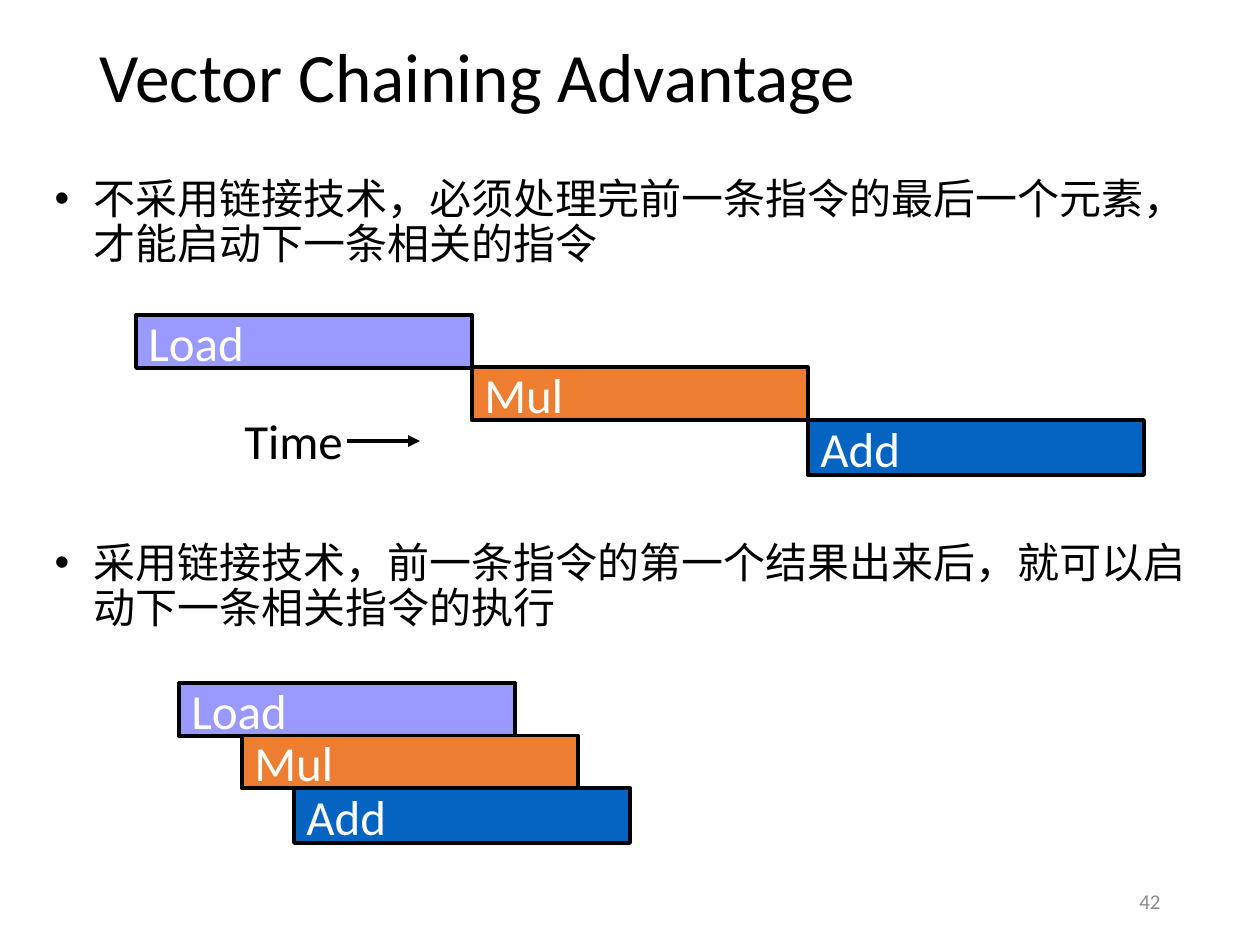
from dataclasses import dataclass

from lxml.etree import SubElement
from pptx import Presentation
from pptx.dml.color import RGBColor as RGB
from pptx.enum.shapes import MSO_CONNECTOR as CONNECTOR, MSO_SHAPE as SHAPE
from pptx.enum.text import MSO_ANCHOR as ANCHOR, MSO_AUTO_SIZE as AUTO_SIZE, PP_ALIGN as ALIGN
from pptx.oxml.ns import qn
from pptx.util import Emu, Pt


@dataclass(frozen=True)
class Theme:
    text: str = "000000"
    inverse: str = "FFFFFF"
    muted: str = "8C8C8C"
    load: str = "9999FF"
    multiply: str = "ED7D31"
    add: str = "0563C1"
    latin: str = "Calibri"
    body: str = "Arial"
    title_size: float = 39.6
    label_size: int = 28
    body_size: int = 24
    number_size: int = 12
    line_width: float = 2.25


THEME = Theme()
EMU_PER_PX = 914400 / 126
BAR_WIDTH = 336
ROW_STEP = 52.5
BARS = (("Load", THEME.load, 53), ("Mul", THEME.multiply, 53), ("Add", THEME.add, 55))


def px(value):
    return Emu(round(value * EMU_PER_PX))


def set_attributes(target, values):
    for name, value in values.items():
        setattr(target, name, value)


def place(shape, left, top, width, height):
    set_attributes(shape, {"left": px(left), "top": px(top),
                           "width": px(width), "height": px(height)})


def write(shape, text, size, color=THEME.text, font=THEME.latin, wrap=True, **paragraph_format):
    frame = shape.text_frame
    set_attributes(frame, {"word_wrap": wrap, "auto_size": AUTO_SIZE.NONE,
                           "vertical_anchor": ANCHOR.MIDDLE})
    paragraph = frame.paragraphs[0]
    set_attributes(paragraph, {"alignment": ALIGN.LEFT, **paragraph_format})
    run = paragraph.add_run()
    run.text = text
    set_attributes(run.font, {"name": font, "size": Pt(size)})
    run.font.color.rgb = RGB.from_string(color)
    return paragraph


def add_label(slide, box, text, size, **text_format):
    write(slide.shapes.add_textbox(*map(px, box)), text, size, **text_format)


def fill_bullet(placeholder, top, text):
    place(placeholder, 42, top, 1176, 105)
    paragraph = write(placeholder, text, THEME.body_size, font=THEME.body,
                      line_spacing=0.9, space_before=Pt(7))
    properties = paragraph._p.get_or_add_pPr()
    properties.set("marL", str(px(39)))
    properties.set("indent", str(px(-39)))
    SubElement(properties, qn("a:buFont"), typeface="Arial")
    SubElement(properties, qn("a:buChar"), char="•")


def style_line(line):
    line.color.rgb = RGB.from_string(THEME.text)
    line.width = Pt(THEME.line_width)


def add_timeline(slide, top, lefts):
    for row, (left, (text, color, height)) in enumerate(zip(lefts, BARS)):
        box = (left, top + row * ROW_STEP, BAR_WIDTH, height)
        bar = slide.shapes.add_shape(SHAPE.RECTANGLE, *map(px, box))
        bar.shadow.inherit = False
        bar.fill.solid()
        bar.fill.fore_color.rgb = RGB.from_string(color)
        style_line(bar.line)
        write(bar, text, THEME.label_size, THEME.inverse)


def add_arrow(slide, start, end):
    arrow = slide.shapes.add_connector(CONNECTOR.STRAIGHT, *map(px, start + end))
    style_line(arrow.line)
    SubElement(arrow.line._get_or_add_ln(), qn("a:tailEnd"), type="triangle")
    SubElement(arrow._element.spPr, qn("a:effectLst"))


def main():
    presentation = Presentation()
    set_attributes(presentation, {"slide_width": px(1260), "slide_height": px(945)})
    slide = presentation.slides.add_slide(presentation.slide_layouts.get_by_name("Two Content"))
    title, unchained, chained = slide.placeholders

    place(title, 87, 50, 1086, 60)
    write(title, "Vector Chaining Advantage", THEME.title_size, line_spacing=0.9)
    fill_bullet(unchained, 171, "不采用链接技术，必须处理完前一条指令的最后一个元素，才能启动下一条相关的指令")
    fill_bullet(chained, 535, "采用链接技术，前一条指令的第一个结果出来后，就可以启动下一条相关指令的执行")

    add_timeline(slide, 315, [136 + BAR_WIDTH * row for row in range(len(BARS))])
    add_timeline(slide, 683, (179, 242, 294))
    add_arrow(slide, (347, 441), (420, 441))
    add_label(slide, (232, 404, 125, 72), "Time", THEME.label_size, wrap=False)
    add_label(slide, (890, 876, 283, 50), "42", THEME.number_size,
              color=THEME.muted, alignment=ALIGN.RIGHT)

    presentation.save("out.pptx")


if __name__ == "__main__":
    main()
